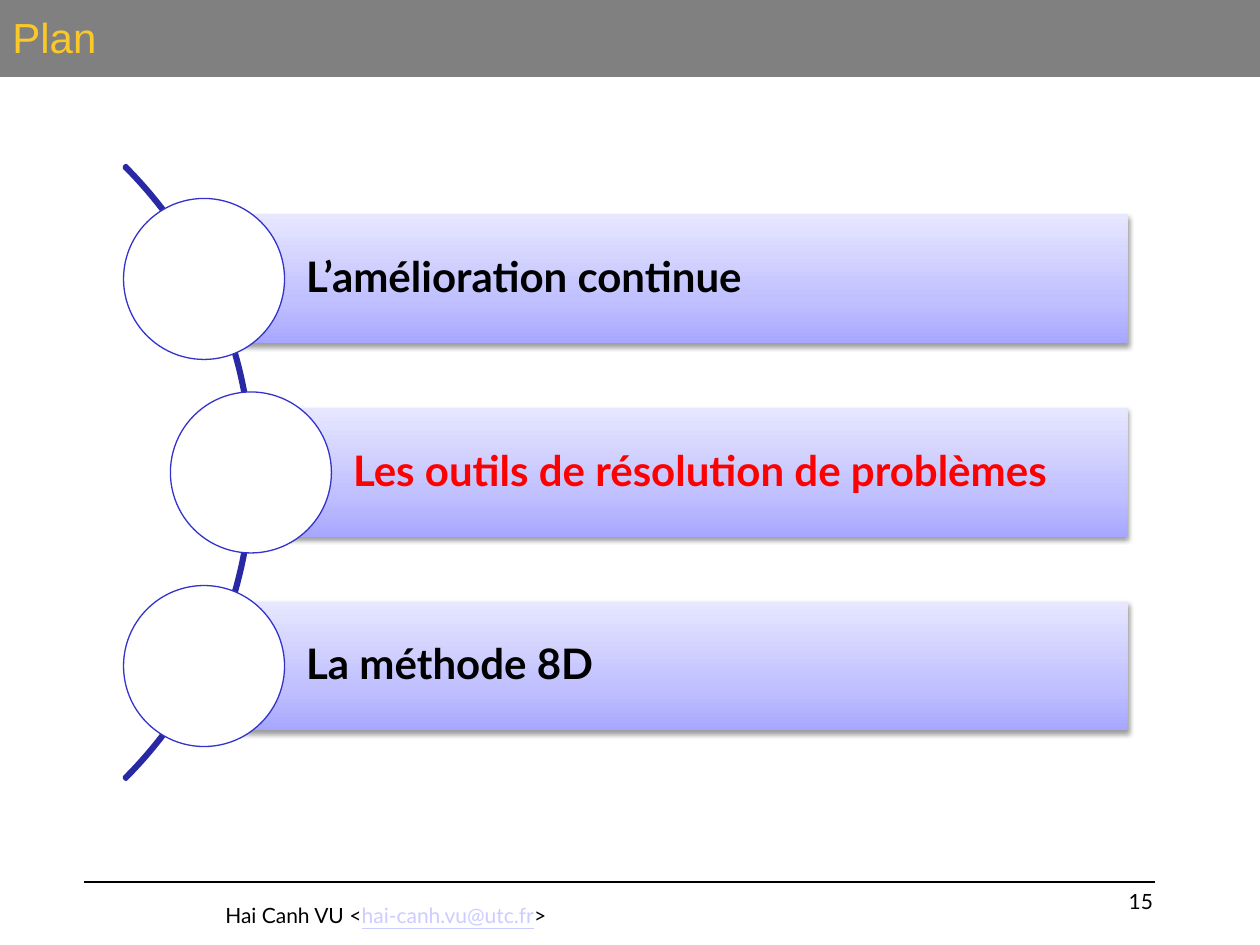
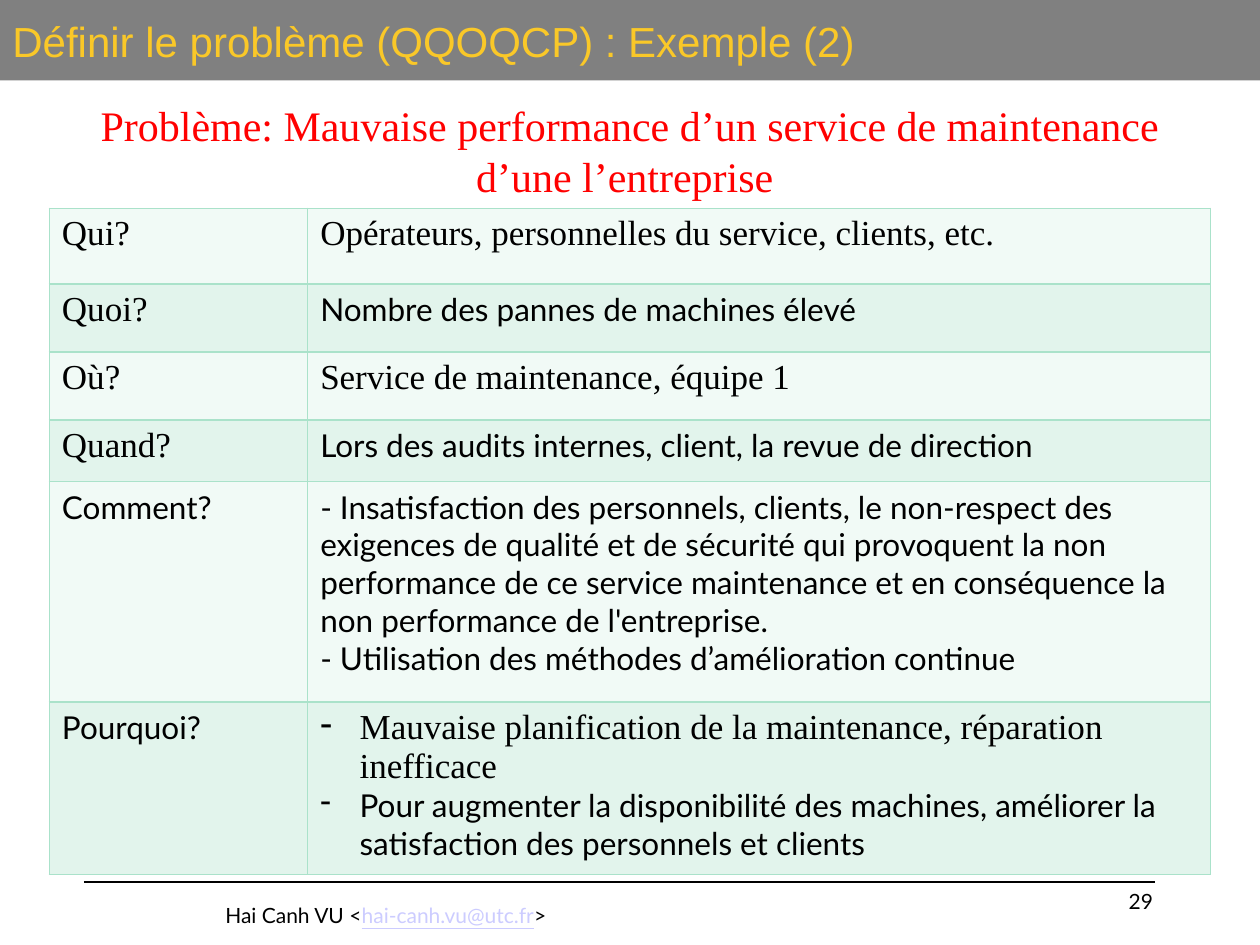
from copy import deepcopy

from pptx import Presentation
from pptx.dml.color import RGBColor
from pptx.enum.shapes import MSO_CONNECTOR as Connector, MSO_SHAPE as Shape
from pptx.enum.text import MSO_ANCHOR as Anchor, MSO_AUTO_SIZE as AutoSize, PP_ALIGN as Align
from pptx.oxml.ns import qn
from pptx.util import Pt
from lxml.etree import SubElement

COLOURS = {
    "black": "000000", "white": "FFFFFF", "red": "FF0000", "header": "808080",
    "title": "FAC828", "link": "CCCCFF", "arc": "2929A3", "circle": "3333CC",
    "border": "AAE2CA", "odd row": "F1FAF6", "even row": "E2F4EC",
}
BAND_GRADIENT = [(0, "A7A7FF"), (35, "C1C1FF"), (100, "E7E7FF")]

FONTS = {
    "title": {"name": "Arial", "size": Pt(24)},
    "footer": {"name": "Lato", "size": Pt(12)},
    "topic": {"name": "Lato", "size": Pt(24), "bold": True},
    "problem": {"name": "Times New Roman", "size": Pt(24)},
    "serif": {"name": "Times New Roman", "size": Pt(20)},
    "sans": {"name": "Lato", "size": Pt(18)},
}

AUTHOR = [("Hai Canh VU <", "black", False), ("hai-canh.vu@utc.fr", "link", True), (">", "black", False)]

PLAN = {"title": "Plan", "page": "15", "title top": -2}
TOPICS = [
    ("L’amélioration continue", "black", 116.6),
    ("Les outils\u00a0de\u00a0résolution de problèmes", "red", 143.4),
    ("La méthode 8D", "black", 116.6),
]

EXAMPLE = {"title": "Définir le problème (QQOQCP) : Exemple (2)", "page": "29", "title top": 0}
PROBLEM = "Problème: Mauvaise performance d’un service de maintenance d’une l’entreprise "
ANSWERS = [
    (43.2, ("Qui?", "serif"), [("Opérateurs, personnelles du service, clients, etc.", "serif")]),
    (38.9, ("Quoi?", "serif"), [("Nombre des pannes de machines élevé", "sans")]),
    (38.9, ("Où?", "serif"), [("Service de maintenance, équipe 1", "serif")]),
    (35.3, ("Quand?", "serif"), [("Lors des audits internes, client, la revue de direction", "sans")]),
    (126, ("Comment?", "sans"), [
        ("- Insatisfaction des personnels, clients, le non-respect des exigences de qualité "
         "et de sécurité qui provoquent la non", "sans"),
        ("performance de ce service maintenance et en conséquence la non performance de l'entreprise.", "sans"),
        ("- Utilisation des méthodes d’amélioration continue", "sans"),
    ]),
    (94, ("Pourquoi?", "sans"), [
        ("Mauvaise planification de la maintenance, réparation inefficace", "serif", "-"),
        ("Pour augmenter la disponibilité des machines, améliorer la satisfaction des personnels et clients",
         "sans", "-"),
    ]),
]
COLUMN_WIDTHS = [147.6, 516]

SLIDE_WIDTH, SLIDE_HEIGHT = 720, 540
TITLE_HEIGHT = 46
MIDDLE, TOPIC_STEP = 270, 110.6
CIRCLE_SIZE, BAND_HEIGHT, BAND_RIGHT = 92, 73.6, 644.4
ARC_SIZE, ARC_LEFT = 496, -351.4
BULLET_INDENT = 22.5


def rgb(name):
    return RGBColor.from_string(COLOURS[name])


def assign(target, values):
    for name, value in values.items():
        setattr(target, name, value)


def add_run(paragraph, text, font, colour="black", **extra):
    run = paragraph.add_run()
    run.text = text
    assign(run.font, {**FONTS[font], **extra})
    run.font.color.rgb = rgb(colour)


def add_shape(slide, kind, box, fill=None, line=None, weight=0.75):
    shape = slide.shapes.add_shape(kind, *map(Pt, box))
    shape.shadow.inherit = False
    if fill:
        shape.fill.solid()
        shape.fill.fore_color.rgb = rgb(fill)
    else:
        shape.fill.background()
    if line:
        shape.line.color.rgb = rgb(line)
        shape.line.width = Pt(weight)
    else:
        shape.line.fill.background()
    return shape


def add_text_box(slide, box, **frame_format):
    frame = slide.shapes.add_textbox(*map(Pt, box)).text_frame
    assign(frame, {"word_wrap": True, **frame_format})
    return frame.paragraphs[0]


def add_frame(presentation, content):
    slide = presentation.slides.add_slide(presentation.slide_layouts[6])
    author = add_text_box(slide, (121.7, 512, 212.4, 21.6), word_wrap=False,
                          auto_size=AutoSize.SHAPE_TO_FIT_TEXT)
    for text, colour, underline in AUTHOR:
        add_run(author, text, "footer", colour, underline=underline)

    rule = slide.shapes.add_connector(Connector.STRAIGHT, Pt(48), Pt(504), Pt(660), Pt(504))
    rule.line.color.rgb = rgb("black")
    rule.line.width = Pt(0.75)
    SubElement(rule._element.spPr, qn("a:effectLst"))

    page = add_text_box(slide, (516, 504, 150, 36))
    page.alignment = Align.RIGHT
    add_run(page, content["page"], "footer")

    header = add_shape(slide, Shape.RECTANGLE, (0, content["title top"], SLIDE_WIDTH, TITLE_HEIGHT), "header")
    header.text_frame.vertical_anchor = Anchor.MIDDLE
    title = header.text_frame.paragraphs[0]
    title.alignment = Align.LEFT
    add_run(title, content["title"], "title", "title")
    return slide


def style_band(band):
    band.fill.gradient()
    band.fill.gradient_angle = 90
    stops = band._element.spPr.find(qn("a:gradFill")).find(qn("a:gsLst"))
    stops.append(deepcopy(stops[0]))
    for stop, (position, colour) in zip(band.fill.gradient_stops, BAND_GRADIENT):
        stop.position = position / 100
        stop.color.rgb = RGBColor.from_string(colour)
    effects = band._element.spPr.find(qn("a:effectLst"))
    shadow = SubElement(effects, qn("a:outerShdw"), blurRad=str(Pt(3.1)), dist=str(Pt(1.6)),
                        dir="5400000", rotWithShape="0")
    colour = SubElement(shadow, qn("a:srgbClr"), val=COLOURS["black"])
    SubElement(colour, qn("a:alpha"), val="38000")


def build_plan(presentation):
    slide = add_frame(presentation, PLAN)
    arc = add_shape(slide, Shape.BLOCK_ARC, (ARC_LEFT, MIDDLE - ARC_SIZE / 2, ARC_SIZE, ARC_SIZE),
                    line="arc", weight=2)
    for index, value in enumerate((189, 27, 0.003)):
        arc.adjustments[index] = value

    for index, (text, colour, centre) in enumerate(TOPICS):
        middle = MIDDLE + (index - 1) * TOPIC_STEP
        band = add_shape(slide, Shape.RECTANGLE,
                         (centre, middle - BAND_HEIGHT / 2, BAND_RIGHT - centre, BAND_HEIGHT))
        style_band(band)
        assign(band.text_frame, {
            "vertical_anchor": Anchor.MIDDLE, "word_wrap": True, "margin_left": Pt(58.4),
            "margin_right": Pt(5), "margin_top": Pt(5), "margin_bottom": Pt(5),
        })
        paragraph = band.text_frame.paragraphs[0]
        assign(paragraph, {"alignment": Align.LEFT, "line_spacing": 0.9})
        add_run(paragraph, text, "topic", colour)
        add_shape(slide, Shape.OVAL,
                  (centre - CIRCLE_SIZE / 2, middle - CIRCLE_SIZE / 2, CIRCLE_SIZE, CIRCLE_SIZE),
                  "white", "circle")


def add_bullet(paragraph, symbol):
    properties = paragraph._p.get_or_add_pPr()
    properties.set("marL", str(Pt(BULLET_INDENT)))
    properties.set("indent", str(-Pt(BULLET_INDENT)))
    SubElement(properties, qn("a:buChar"), char=symbol)


def fill_cell(cell, paragraphs, fill):
    properties = cell._tc.get_or_add_tcPr()
    for side in ("lnL", "lnR", "lnT", "lnB"):
        border = SubElement(properties, qn(f"a:{side}"), w=str(Pt(1)))
        SubElement(SubElement(border, qn("a:solidFill")), qn("a:srgbClr"), val=COLOURS["border"])
    cell.fill.solid()
    cell.fill.fore_color.rgb = rgb(fill)
    frame = cell.text_frame
    for index, (text, font, *bullet) in enumerate(paragraphs):
        paragraph = frame.add_paragraph() if index else frame.paragraphs[0]
        if bullet:
            add_bullet(paragraph, bullet[0])
        add_run(paragraph, text, font)


def build_example(presentation):
    slide = add_frame(presentation, EXAMPLE)
    heights = [height for height, *_ in ANSWERS]
    table = slide.shapes.add_table(len(ANSWERS), len(COLUMN_WIDTHS), Pt(28.2), Pt(119),
                                   Pt(sum(COLUMN_WIDTHS)), Pt(sum(heights))).table
    assign(table, {"first_row": False, "horz_banding": False})
    for column, width in zip(table.columns, COLUMN_WIDTHS):
        column.width = Pt(width)
    for index, (height, question, answer) in enumerate(ANSWERS):
        table.rows[index].height = Pt(height)
        fill = "even row" if index % 2 else "odd row"
        fill_cell(table.cell(index, 0), [question], fill)
        fill_cell(table.cell(index, 1), answer, fill)

    problem = add_text_box(slide, (48, 53.5, 624, 65.5), auto_size=AutoSize.SHAPE_TO_FIT_TEXT)
    problem.alignment = Align.CENTER
    add_run(problem, PROBLEM, "problem", "red")


def main():
    presentation = Presentation()
    assign(presentation, {"slide_width": Pt(SLIDE_WIDTH), "slide_height": Pt(SLIDE_HEIGHT)})
    build_plan(presentation)
    build_example(presentation)
    presentation.save("out.pptx")


if __name__ == "__main__":
    main()
